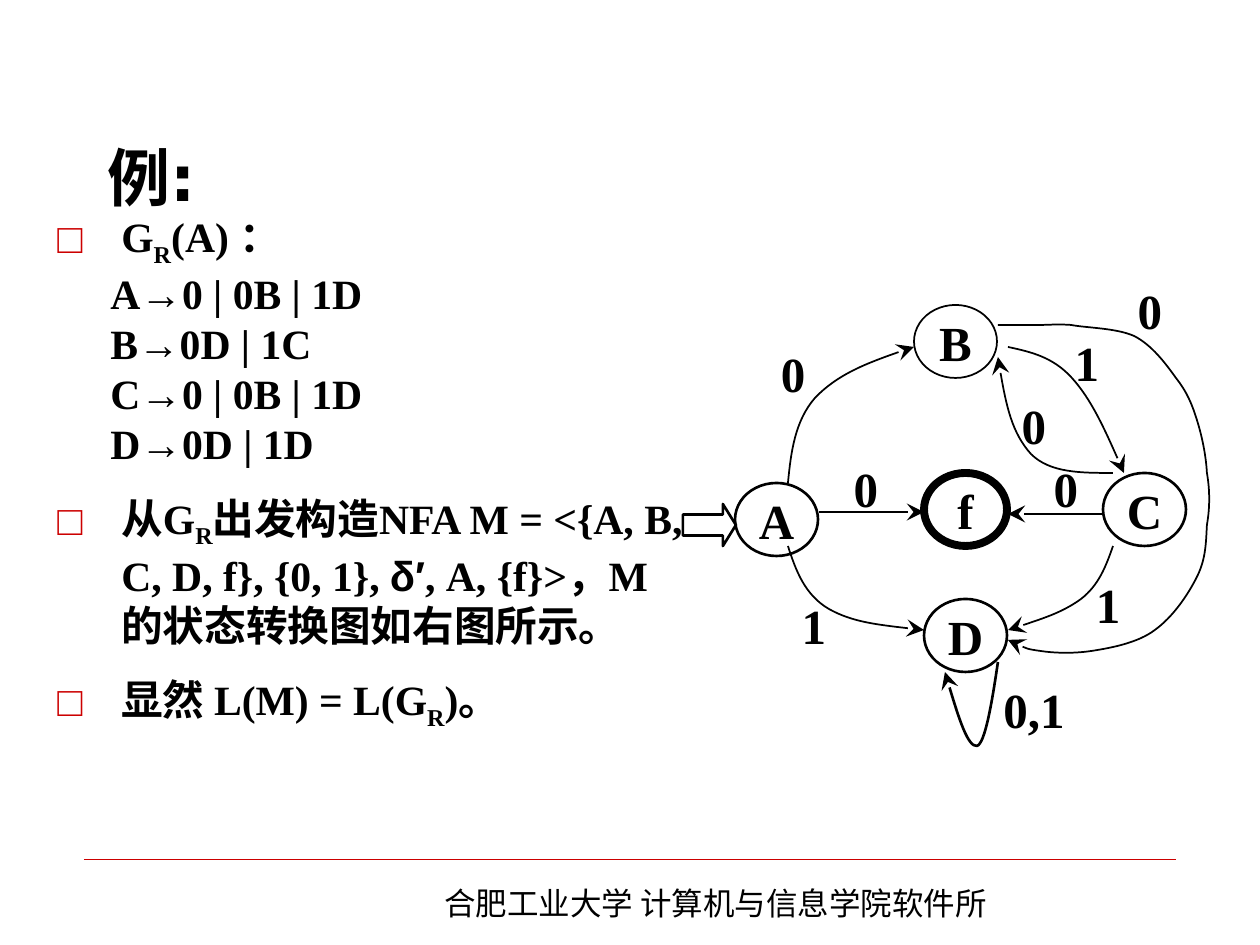
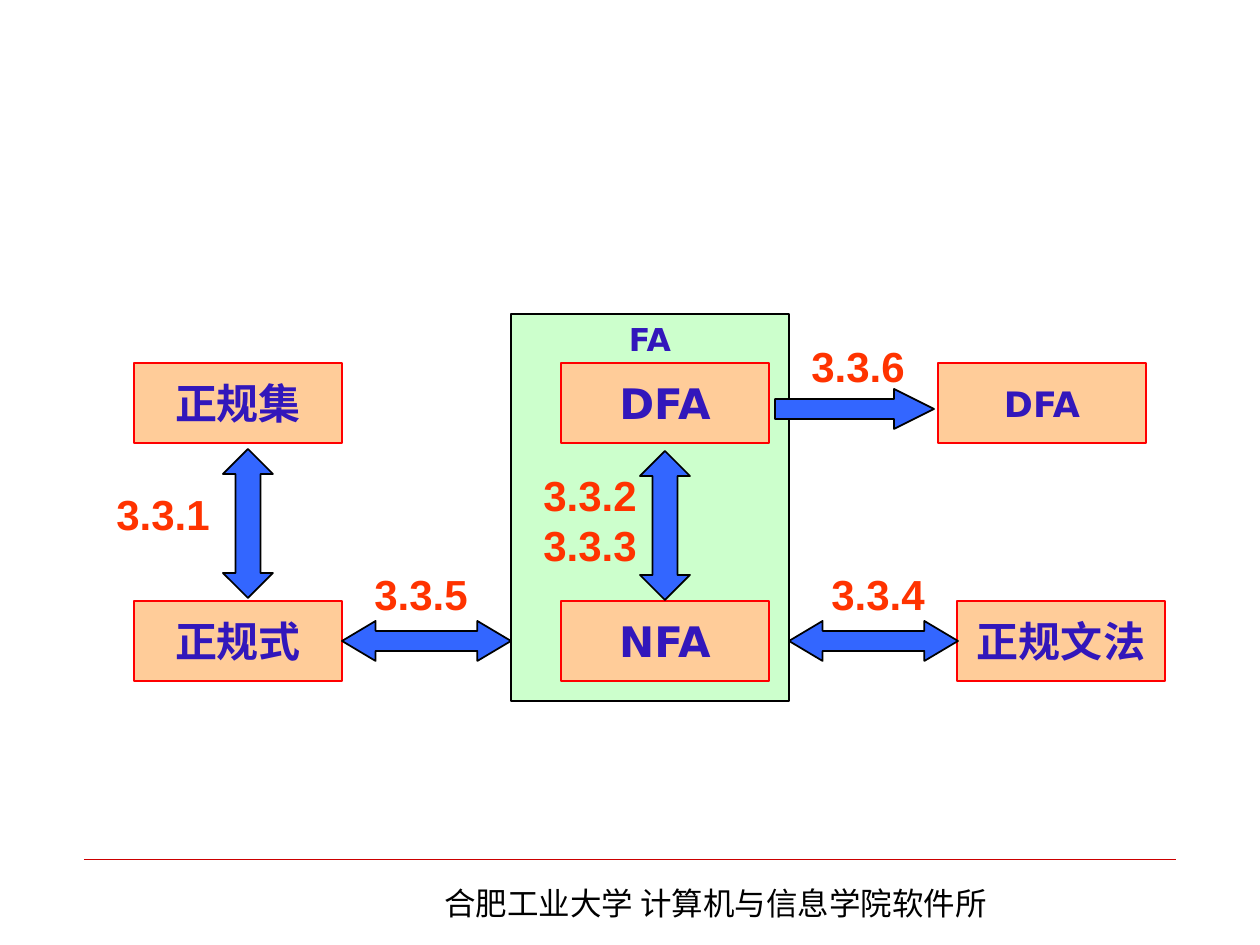
"""Builds two slides on regular grammars: an NFA example and a map of conversions."""
import lxml.etree
import pptx
import pptx.dml.color
import pptx.enum.shapes
import pptx.enum.text
import pptx.oxml.ns
import pptx.util

RGB = pptx.dml.color.RGBColor
SHAPE = pptx.enum.shapes.MSO_SHAPE
ANCHOR = pptx.enum.text.MSO_ANCHOR
ALIGN = pptx.enum.text.PP_ALIGN
qn = pptx.oxml.ns.qn
Pt = pptx.util.Pt

BLACK = RGB(0x00, 0x00, 0x00)
DARK_RED = RGB(0xCC, 0x00, 0x00)
RED = RGB(0xFF, 0x00, 0x00)
ORANGE = RGB(0xFF, 0x33, 0x00)
PEACH = RGB(0xFF, 0xCC, 0x99)
MINT = RGB(0xCC, 0xFF, 0xCC)
BLUE = RGB(0x33, 0x66, 0xFF)
INDIGO = RGB(0x32, 0x17, 0xBB)

SCALE = 914400 / 126
SERIF, SANS, WIDE, CJK = "Times New Roman", "Arial", "DejaVu Sans", "Noto Sans CJK SC"

FOOTER_FONT = {"name": CJK, "size": Pt(18), "bold": False}
TITLE_FONT = {"name": WIDE, "size": Pt(36), "bold": True}
BODY_FONT = {"name": SERIF, "size": Pt(23.8), "bold": True}
STATE_FONT = {"name": SERIF, "size": Pt(28), "bold": True}
SECTION_FONT = {"name": SANS, "size": Pt(24), "bold": True}
CENTRED = {"word_wrap": False, "vertical_anchor": ANCHOR.MIDDLE}
CENTRED_TOP = {"word_wrap": False, "vertical_anchor": ANCHOR.TOP}

FOOTER = "合肥工业大学 计算机与信息学院软件所"
TITLE = "例:"
BODY = [
    ("bullet", 7, [("G", ""), ("R", "sub"), ("(A) ：", "")]),
    ("rule", 0, [("A→0 | 0B | 1D", "")]),
    ("rule", 0, [("B→0D | 1C", "")]),
    ("rule", 0, [("C→0 | 0B | 1D", "")]),
    ("rule", 0, [("D→0D | 1D", "")]),
    ("bullet", 14, [("从G", ""), ("R", "sub"),
                    ("出发构造NFA M = <{A, B, C, D, f}, {0, 1}, ", ""),
                    ("δ′", "greek"), (", A, {f}>，M的状态转换图如右图所示。", "")]),
    ("bullet", 14, [("显然 L(M) = L(G", ""), ("R", "sub"), (")。", "")]),
]
INDENTS = {"bullet": (64, -64), "rule": (113, -60)}

STATE_SIZE, LABEL_SIZE = (83, 73), (116, 73)
STATES = [("A", 735, 483, 1.5), ("B", 914, 305, 1), ("C", 1103, 473, 1.5),
          ("D", 924, 599, 1.5), ("f", 924, 473, 4.5)]
LABELS = [("1", 1029, 325), ("0", 735, 336), ("0,1", 976, 672), ("1", 756, 588),
          ("1", 1050, 567), ("0", 976, 388), ("0", 1092, 273), ("0", 808, 451),
          ("0", 1008, 451)]
EDGES = [(819, 512, 924, 512), (1103, 514, 1008, 514)]
CURVES = {
    "D-D": (1.5, [(998, 662), (992, 703), (985, 744), (977, 746),
                  (968, 747), (956, 710), (945, 672)]),
    "A-B": (1, [(788, 483), (791, 452), (795, 421), (815, 398),
                (837, 375), (874, 360), (914, 347)]),
    "A-D": (1, [(788, 546), (796, 571), (805, 595), (829, 609),
                (852, 622), (887, 626), (924, 630)]),
    "C-B": (1, [(1113, 473), (1081, 473), (1050, 473), (1031, 454),
                (1012, 433), (1004, 396), (998, 357)]),
    "B-C": (1, [(1008, 347), (1031, 352), (1053, 357), (1072, 378),
                (1091, 399), (1108, 436), (1124, 473)]),
    "C-D": (1, [(1113, 546), (1106, 566), (1099, 585), (1081, 599),
                (1063, 612), (1036, 621), (1008, 630)]),
    "B-D": (1, [(998, 325), (1012, 325), (1027, 325), (1040, 325),
                (1052, 325), (1055, 324), (1071, 325),
                (1086, 328), (1116, 328), (1134, 336),
                (1152, 345), (1166, 364), (1176, 378),
                (1187, 392), (1192, 404), (1197, 420),
                (1202, 436), (1206, 455), (1207, 473),
                (1210, 490), (1210, 508), (1207, 525),
                (1206, 543), (1206, 559), (1197, 577),
                (1188, 595), (1173, 617), (1155, 630),
                (1138, 643), (1111, 648), (1092, 651),
                (1072, 654), (1053, 653), (1040, 651),
                (1026, 649), (1017, 645), (1008, 640)]),
}

TOP_ROW, BOTTOM_ROW = 363, 601
BOX_SIZE = (208, 80)
BOXES = [("正规集", 134, TOP_ROW, 24), ("正规式", 134, BOTTOM_ROW, 24),
         ("DFA", 561, TOP_ROW, 24), ("NFA", 561, BOTTOM_ROW, 24),
         ("正规文法", 957, BOTTOM_ROW, 24), ("DFA", 938, TOP_ROW, 20)]
BLOCK_ARROWS = [
    (SHAPE.LEFT_RIGHT_ARROW, (342, 621, 169, 40), (0.5, 0.84)),
    (SHAPE.LEFT_RIGHT_ARROW, (789, 621, 169, 40), (0.5, 0.84)),
    (SHAPE.UP_DOWN_ARROW, (223, 449, 50, 149), (0.6, 0.5)),
    (SHAPE.UP_DOWN_ARROW, (640, 451, 50, 149), (0.6, 0.5)),
    (SHAPE.RIGHT_ARROW, (775, 389, 159, 40), (0.5, 1)),
]
SECTION_WIDTH = 138
SECTIONS = [(["3.3.1"], 163, 482), (["3.3.2", "3.3.3"], 590, 463),
            (["3.3.4"], 878, 562), (["3.3.5"], 421, 562), (["3.3.6"], 858, 334)]


def px(n):
    return pptx.util.Emu(round(n * SCALE))


def apply(obj, values):
    for name, value in values.items():
        setattr(obj, name, value)


def place(sp, box):
    apply(sp, dict(zip(("left", "top", "width", "height"), map(px, box))))


def add_run(p, text, font, color=BLACK):
    r = p.add_run()
    r.text = text
    apply(r.font, font)
    r.font.color.rgb = color
    lxml.etree.SubElement(r._r.get_or_add_rPr(), qn("a:ea"), typeface=CJK)
    return r


def write(sp, lines, font, color=BLACK, frame=CENTRED, align=ALIGN.CENTER):
    tf = sp.text_frame
    apply(tf, frame)
    for i, line in enumerate(lines):
        p = tf.paragraphs[0] if i == 0 else tf.add_paragraph()
        p.alignment = align
        add_run(p, line, font, color)


def add_text(slide, box, lines, font, color=BLACK, frame=CENTRED, align=ALIGN.CENTER):
    sp = slide.shapes.add_textbox(*map(px, box))
    write(sp, lines, font, color, frame, align)
    return sp


def outline(sp, width, color=BLACK):
    sp.line.width = Pt(width)
    sp.line.color.rgb = color


def add_shape(slide, kind, box, width, color=BLACK, fill=None):
    sp = slide.shapes.add_shape(kind, *map(px, box))
    sp.shadow.inherit = False
    if fill is None:
        sp.fill.background()
    else:
        sp.fill.solid()
        sp.fill.fore_color.rgb = fill
    outline(sp, width, color)
    return sp


def add_line(slide, ends, width, color=BLACK):
    sp = slide.shapes.add_connector(pptx.enum.shapes.MSO_CONNECTOR.STRAIGHT, *map(px, ends))
    outline(sp, width, color)
    lxml.etree.SubElement(sp._element.spPr, qn("a:effectLst"))
    return sp


def add_arrowhead(sp):
    lxml.etree.SubElement(sp.line._get_or_add_ln(), qn("a:tailEnd"),
                          type="stealth", w="lg", len="lg")


def add_curve(slide, points, width):
    builder = slide.shapes.build_freeform(*points[0], scale=SCALE)
    builder.add_line_segments(points[1:], close=False)
    sp = builder.convert_to_shape()
    sp.shadow.inherit = False
    sp.fill.background()
    outline(sp, width)
    add_arrowhead(sp)
    track = sp._element.find(".//" + qn("a:path"))
    steps = track.findall(qn("a:lnTo"))
    for i in range(0, len(steps), 3):
        bezier = lxml.etree.SubElement(track, qn("a:cubicBezTo"))
        for step in steps[i:i + 3]:
            bezier.append(step[0])
            track.remove(step)


def add_body(slide):
    tf = slide.shapes.add_textbox(*map(px, (45, 205, 651, 599))).text_frame
    tf.word_wrap = True
    for i, (kind, before, runs) in enumerate(BODY):
        p = tf.paragraphs[0] if i == 0 else tf.add_paragraph()
        p.space_before = Pt(before)
        pPr = p._p.get_or_add_pPr()
        for name, value in zip(("marL", "indent"), INDENTS[kind]):
            pPr.set(name, str(px(value)))
        if kind == "bullet":
            color = lxml.etree.SubElement(pPr, qn("a:buClr"))
            lxml.etree.SubElement(color, qn("a:srgbClr"), val=str(DARK_RED))
            lxml.etree.SubElement(pPr, qn("a:buFont"), typeface=SERIF)
            lxml.etree.SubElement(pPr, qn("a:buChar"), char="□")
        for text, style in runs:
            r = add_run(p, text, BODY_FONT)
            if style == "sub":
                r._r.get_or_add_rPr().set("baseline", "-25000")
            elif style == "greek":
                r.font.name = SANS


def add_slide(prs, layout):
    slide = prs.slides.add_slide(prs.slide_layouts[layout])
    add_line(slide, (84, 859, 1176, 859), 0.25, DARK_RED)
    sp = add_text(slide, (432, 878, 595, 50), [FOOTER], FOOTER_FONT,
                  frame={"word_wrap": True}, align=ALIGN.LEFT)
    sp.text_frame.paragraphs[0].space_before = Pt(11.2)
    return slide


def build_nfa(prs):
    slide = add_slide(prs, 5)
    title = slide.shapes.title
    place(title, (95, 62, 1134, 158))
    write(title, [TITLE], TITLE_FONT, align=ALIGN.LEFT,
          frame={"vertical_anchor": ANCHOR.BOTTOM, "word_wrap": True,
                 "auto_size": pptx.enum.text.MSO_AUTO_SIZE.NONE})
    add_body(slide)
    for name, x, y, width in STATES:
        sp = add_shape(slide, SHAPE.OVAL, (x, y, *STATE_SIZE), width)
        write(sp, [name], STATE_FONT)
    for width, points in CURVES.values():
        add_curve(slide, points, width)
    for ends in EDGES:
        add_arrowhead(add_line(slide, ends, 1))
    start = add_shape(slide, SHAPE.RIGHT_ARROW, (683, 504, 53, 42), 1.5)
    start.adjustments[1] = 0.31
    for text, x, y in LABELS:
        add_text(slide, (x, y, *LABEL_SIZE), [text], STATE_FONT)


def build_map(prs):
    slide = add_slide(prs, 6)
    group = add_shape(slide, SHAPE.RECTANGLE, (511, 314, 278, 387), 1, fill=MINT)
    write(group, ["FA"], {"name": WIDE, "size": Pt(18), "bold": True}, INDIGO, CENTRED_TOP)
    for text, x, y, size in BOXES:
        sp = add_shape(slide, SHAPE.RECTANGLE, (x, y, *BOX_SIZE), 1, RED, PEACH)
        write(sp, [text], {"name": WIDE, "size": Pt(size), "bold": True}, INDIGO)
    for kind, box, adjustments in BLOCK_ARROWS:
        sp = add_shape(slide, kind, box, 1, fill=BLUE)
        for i, value in enumerate(adjustments):
            sp.adjustments[i] = value
    for lines, centre, y in SECTIONS:
        box = (centre - SECTION_WIDTH / 2, y, SECTION_WIDTH, 13 + 50 * len(lines))
        add_text(slide, box, lines, SECTION_FONT, ORANGE, CENTRED_TOP)


def main():
    prs = pptx.Presentation()
    apply(prs, {"slide_width": px(1260), "slide_height": px(945)})
    build_nfa(prs)
    build_map(prs)
    prs.save("out.pptx")


if __name__ == "__main__":
    main()
